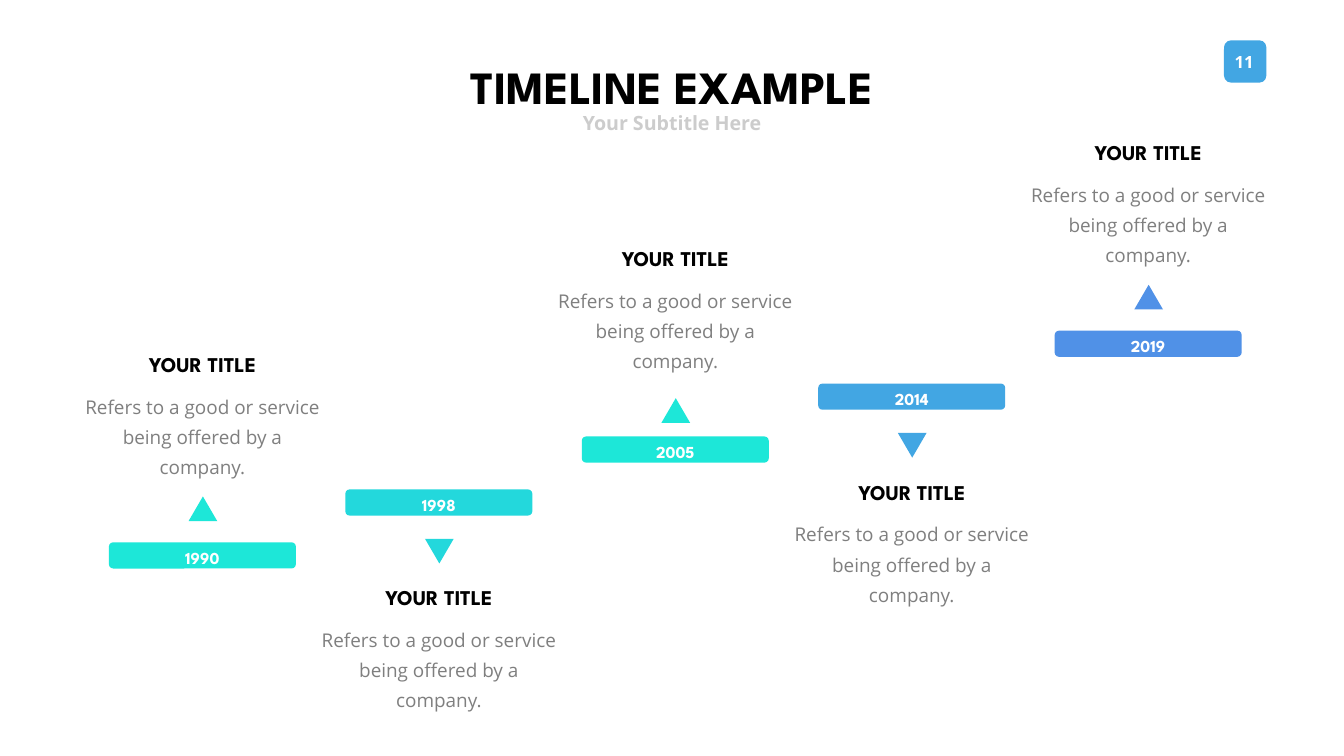
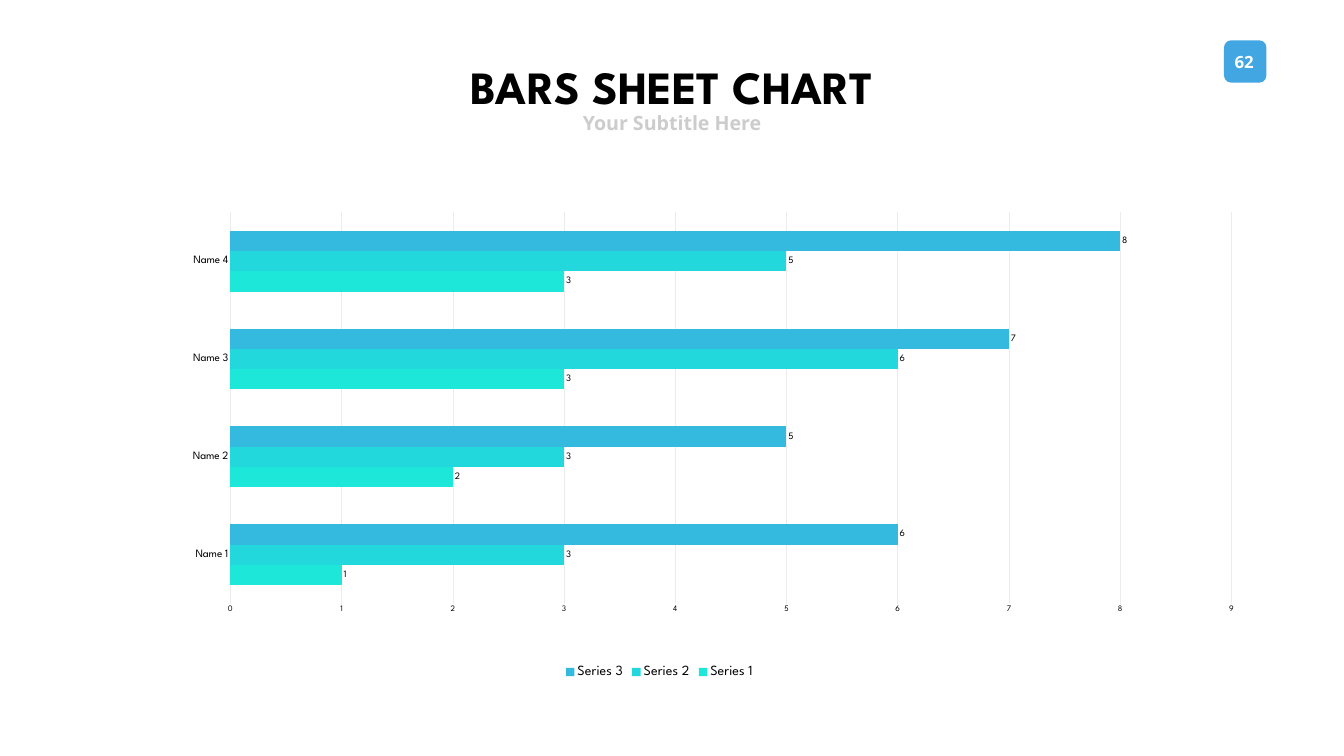
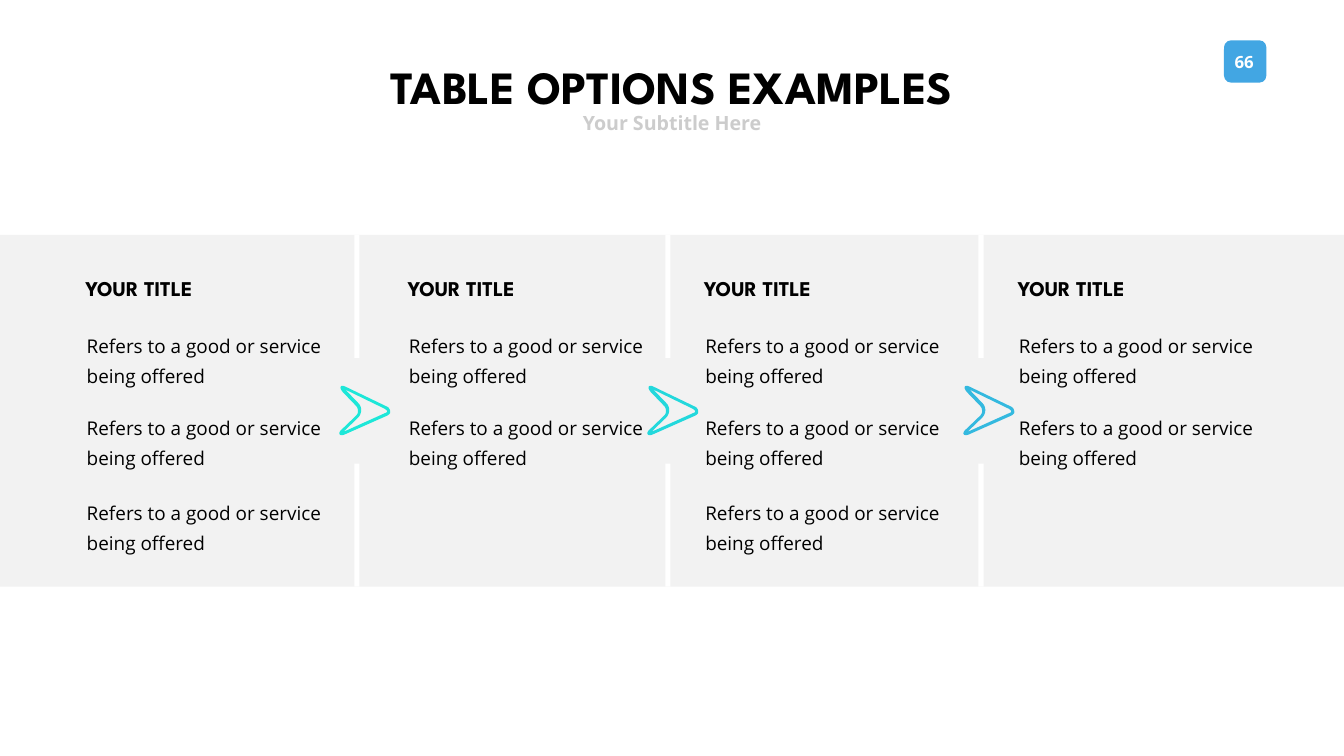
"""Builds a timeline, a bar chart and a four-column options slide."""
import dataclasses

import pptx
import pptx.chart.data
import pptx.dml.color
import pptx.enum.chart
import pptx.enum.shapes
import pptx.enum.text
import pptx.oxml
import pptx.oxml.ns
import pptx.util

PX = 9144
SLIDE_WIDTH, SLIDE_HEIGHT = 2666, 1500
SHAPES = pptx.enum.shapes.MSO_SHAPE
ALIGN = pptx.enum.text.PP_ALIGN
ANCHOR = pptx.enum.text.MSO_ANCHOR
CHART = pptx.enum.chart


@dataclasses.dataclass(frozen=True)
class Theme:
    """Colours, fonts and type sizes."""
    heading_font: str = "League Spartan"
    body_font: str = "Open Sans"
    black: str = "000000"
    white: str = "FFFFFF"
    grey: str = "7F7F7F"
    subtitle: str = "CCCCCC"
    band: str = "F2F2F2"
    grid: str = "ECECEC"
    mint: str = "1DE7D8"
    aqua: str = "23D8DC"
    sky: str = "34B9DF"
    blue: str = "42A6E3"
    indigo: str = "5091E7"
    title_size: int = 66
    title_leading: int = 100
    heading_size: int = 30
    subtitle_size: int = 28
    body_size: int = 27
    body_leading: int = 43
    label_size: int = 24
    legend_size: int = 20
    category_size: int = 16
    value_size: int = 14
    axis_size: int = 12
    chart_size: int = 10


THEME = Theme()
SERVICE = "Refers to a good or service being offered"
EVENTS = [
    ("1990", THEME.mint, -91),
    ("1998", THEME.aqua, 98),
    ("2005", THEME.mint, -76),
    ("2014", THEME.blue, 98),
    ("2019", THEME.indigo, -91),
]
CHART_CATEGORIES = ["Name 1", "Name 2", "Name 3", "Name 4"]
CHART_SERIES = [
    ("Series 1", [1, 2, 3, 3], THEME.mint),
    ("Series 2", [3, 3, 6, 5], THEME.aqua),
    ("Series 3", [6, 5, 7, 8], THEME.sky),
]
OPTION_COLUMNS = [(160, 3), (799, 2), (1387, 3), (2009, 2)]
OPTION_TOPS = [637, 800, 969]
DIVIDERS = [(703, 674, THEME.mint), (1320, 1285, THEME.aqua), (1941, 1912, THEME.sky)]
ARROW_OUTER = [
    (100, 54), (100, 49, 98, 44, 92, 42), (13, 4), (9, 2, 4, 0, 2, 3),
    (0, 6, 3, 10, 6, 14), (32, 41), (37, 46, 38, 56, 32, 61), (5, 87),
    (2, 89, -3, 95, 0, 98), (2, 100, 6, 100, 12, 97), (91, 62),
    (98, 59, 100, 56, 100, 54),
]
ARROW_INNER = [
    (89, 56), (9, 92), (9, 91), (36, 65), (44, 57, 45, 44, 37, 36), (11, 9),
    (89, 47), (92, 49, 94, 51, 94, 52), (94, 54, 92, 55, 89, 56),
]


def rgb(value):
    """Turn a hex value into a colour."""
    return pptx.dml.color.RGBColor.from_string(value)


def flatten(outline, steps=8, detail=10):
    """Turn points and cubic curves into fine-grained points."""
    points = [outline[0]]
    for segment in outline[1:]:
        if len(segment) == 2:
            points.append(segment)
            continue
        controls = [points[-1], segment[:2], segment[2:4], segment[4:]]
        for step in range(1, steps + 1):
            t = step / steps
            weights = [(1 - t) ** 3, 3 * t * (1 - t) ** 2, 3 * t * t * (1 - t), t ** 3]
            points.append(tuple(
                sum(weight * control[axis] for weight, control in zip(weights, controls))
                for axis in (0, 1)))
    return [(x * detail, y * detail) for x, y in points]


class Deck:
    """Holds the theme, the presentation and the current slide."""

    def __init__(self, theme):
        self.theme = theme
        self.presentation = pptx.Presentation()
        self.presentation.slide_width = SLIDE_WIDTH * PX
        self.presentation.slide_height = SLIDE_HEIGHT * PX
        self.slide = None

    def set_font(self, font, size, colour, name, bold=False):
        """Set every property of a font."""
        font.size, font.name, font.bold = pptx.util.Pt(size), name, bold
        font.color.rgb = rgb(colour)

    def set_text(self, shape, text, size, colour, name, bold=True, align=ALIGN.CENTER,
                 anchor=ANCHOR.MIDDLE, wrap=False, leading=None, margins=(10, 5, 10, 5)):
        """Put one formatted paragraph into a shape."""
        frame = shape.text_frame
        frame.text = text
        frame.auto_size = pptx.enum.text.MSO_AUTO_SIZE.NONE
        frame.word_wrap, frame.vertical_anchor = wrap, anchor
        (frame.margin_left, frame.margin_top,
         frame.margin_right, frame.margin_bottom) = [margin * PX for margin in margins]
        paragraph = frame.paragraphs[0]
        paragraph.alignment = align
        if leading:
            paragraph.line_spacing = pptx.util.Pt(leading)
        self.set_font(paragraph.font, size, colour, name, bold)

    def text_box(self, left, top, width, height, text, *style, **options):
        """Add a text box."""
        box = self.slide.shapes.add_textbox(*[n * PX for n in (left, top, width, height)])
        self.set_text(box, text, *style, **options)

    def paint(self, shape, colour):
        """Give a shape a flat fill without line or shadow."""
        shape.shadow.inherit = False
        shape.fill.solid()
        shape.fill.fore_color.rgb = rgb(colour)
        shape.line.fill.background()

    def shape(self, kind, left, top, width, height, colour):
        """Add a flat preset shape."""
        shape = self.slide.shapes.add_shape(
            kind, *[n * PX for n in (left, top, width, height)])
        self.paint(shape, colour)
        return shape

    def label(self, left, top, width, height, colour, text, name, margins):
        """Add a rounded rectangle with a white label."""
        shape = self.shape(SHAPES.ROUNDED_RECTANGLE, left, top, width, height, colour)
        self.set_text(shape, text, self.theme.label_size, self.theme.white, name,
                      margins=margins)

    def add_slide(self, title, title_width, number):
        """Start a slide with its badge, title and subtitle."""
        theme = self.theme
        self.slide = self.presentation.slides.add_slide(self.presentation.slide_layouts[5])
        self.label(2428, 80, 84, 84, theme.blue, number, theme.body_font, (0, 2, 4, 0))
        shape = self.slide.shapes.title
        shape.left, shape.top = (SLIDE_WIDTH - title_width) // 2 * PX, 81 * PX
        shape.width, shape.height = title_width * PX, 150 * PX
        self.set_text(shape, title, theme.title_size, theme.black, theme.heading_font,
                      anchor=ANCHOR.TOP, leading=theme.title_leading)
        self.text_box(1144, 215, 378, 57, "Your Subtitle Here", theme.subtitle_size,
                      theme.subtitle, theme.body_font)

    def heading(self, left, top, align):
        """Add a short bold heading."""
        self.text_box(left, top, 272, 61, "YOUR TITLE", self.theme.heading_size,
                      self.theme.black, self.theme.heading_font, align=align)

    def body(self, left, top, width, height, text, colour, align):
        """Add a wrapped description."""
        self.text_box(left, top, width, height, text, self.theme.body_size, colour,
                      self.theme.body_font, bold=False, align=align, anchor=ANCHOR.TOP,
                      wrap=True, leading=self.theme.body_leading, margins=(24, 12, 24, 12))

    def arrow(self, left, top, colour):
        """Add a hollow arrowhead with rounded corners."""
        outer, inner = flatten(ARROW_OUTER), flatten(ARROW_INNER)
        builder = self.slide.shapes.build_freeform(*outer[0], scale=PX / 10)
        builder.add_line_segments(outer[1:], close=True)
        builder.move_to(*inner[0])
        builder.add_line_segments(inner[1:], close=True)
        self.paint(builder.convert_to_shape(left * PX, top * PX), colour)

    def bar_chart(self, left, top, width, height, categories, series_list):
        """Add a clustered bar chart with value labels."""
        theme = self.theme
        data = pptx.chart.data.CategoryChartData()
        data.categories = categories
        for name, values, _ in series_list:
            data.add_series(name, values)
        chart = self.slide.shapes.add_chart(
            CHART.XL_CHART_TYPE.BAR_CLUSTERED,
            *[n * PX for n in (left, top, width, height)], data).chart
        chart.has_title = False
        self.set_font(chart.font, theme.chart_size, theme.grey, theme.heading_font)
        plot = chart.plots[0]
        plot.gap_width, plot.overlap, plot.vary_by_categories = 182, 0, False
        for series, (_, _, colour) in zip(plot.series, series_list):
            series.format.fill.solid()
            series.format.fill.fore_color.rgb = rgb(colour)
            labels = series.data_labels
            labels.show_value = True
            labels.position = CHART.XL_LABEL_POSITION.OUTSIDE_END
            self.set_font(labels.font, theme.value_size, theme.black, theme.heading_font)
        category_axis, value_axis = chart.category_axis, chart.value_axis
        for axis, size in ((category_axis, theme.category_size),
                           (value_axis, theme.axis_size)):
            axis.major_tick_mark = axis.minor_tick_mark = CHART.XL_TICK_MARK.NONE
            self.set_font(axis.tick_labels.font, size, theme.black, theme.heading_font)
        value_axis.minimum_scale, value_axis.maximum_scale = 0, 9
        value_axis.major_unit = 1
        value_axis.format.line.fill.background()
        for line in (category_axis.format.line, value_axis.major_gridlines.format.line):
            line.color.rgb = rgb(theme.grid)
            line.width = pptx.util.Pt(0.75)
        chart.has_legend = True
        chart.legend.position = CHART.XL_LEGEND_POSITION.BOTTOM
        chart.legend.include_in_layout = False
        self.set_font(chart.legend.font, theme.legend_size, theme.black, theme.heading_font)
        self.place_plot(chart, x=0.14, y=0.03, w=0.84, h=0.81)

    def place_plot(self, chart, **fractions):
        """Fix the inner plot area as fractions of the chart."""
        plot_area = chart.element.find(".//" + pptx.oxml.ns.qn("c:plotArea"))
        for layout in plot_area.findall(pptx.oxml.ns.qn("c:layout")):
            plot_area.remove(layout)
        modes = "".join(f'<c:{key}Mode val="edge"/>' for key in "xy")
        sizes = "".join(f'<c:{key} val="{value}"/>' for key, value in fractions.items())
        plot_area.insert(0, pptx.oxml.parse_xml(
            f'<c:layout {pptx.oxml.ns.nsdecls("c")}><c:manualLayout>'
            f'<c:layoutTarget val="inner"/>{modes}{sizes}</c:manualLayout></c:layout>'))


def build_timeline(deck):
    """Build the rising timeline."""
    deck.add_slide("TIMELINE EXAMPLE", 936, "11")
    for index, (year, colour, marker_offset) in enumerate(EVENTS):
        left, top = 216 + 469 * index, 1076 - 105 * index
        points_up = marker_offset < 0
        heading_top = top + (-384 if points_up else 184)
        deck.label(left, top, 371, 52, colour, year, deck.theme.heading_font, (0, 8, 0, 0))
        deck.heading(left + 50, heading_top, ALIGN.CENTER)
        deck.body(left - 79, heading_top + 66, 529, 205, SERVICE + " by a company.",
                  deck.theme.grey, ALIGN.CENTER)
        marker = deck.shape(SHAPES.ISOSCELES_TRIANGLE, left + 158, top + marker_offset,
                            57, 49, colour)
        marker.rotation = 0 if points_up else 180


def build_chart(deck):
    """Build the bar chart slide."""
    deck.add_slide("BARS SHEET CHART", 971, "62")
    deck.bar_chart(126, 392, 2364, 960, CHART_CATEGORIES, CHART_SERIES)


def build_options(deck):
    """Build the four option columns."""
    theme = deck.theme
    deck.add_slide("TABLE OPTIONS EXAMPLES", 1330, "66")
    deck.shape(SHAPES.RECTANGLE, 0, 466, SLIDE_WIDTH, 698, theme.band)
    for divider_left, arrow_left, colour in DIVIDERS:
        for top in (466, 920):
            deck.shape(SHAPES.RECTANGLE, divider_left, top, 10, 244, theme.white)
        deck.arrow(arrow_left, 764, colour)
    for left, count in OPTION_COLUMNS:
        deck.heading(left, 541, ALIGN.LEFT)
        for top in OPTION_TOPS[:count]:
            deck.body(left - 12, top, 515, 145, SERVICE, theme.black, ALIGN.LEFT)


def main():
    """Build and save the presentation."""
    deck = Deck(THEME)
    build_timeline(deck)
    build_chart(deck)
    build_options(deck)
    deck.presentation.save("out.pptx")


if __name__ == "__main__":
    main()
